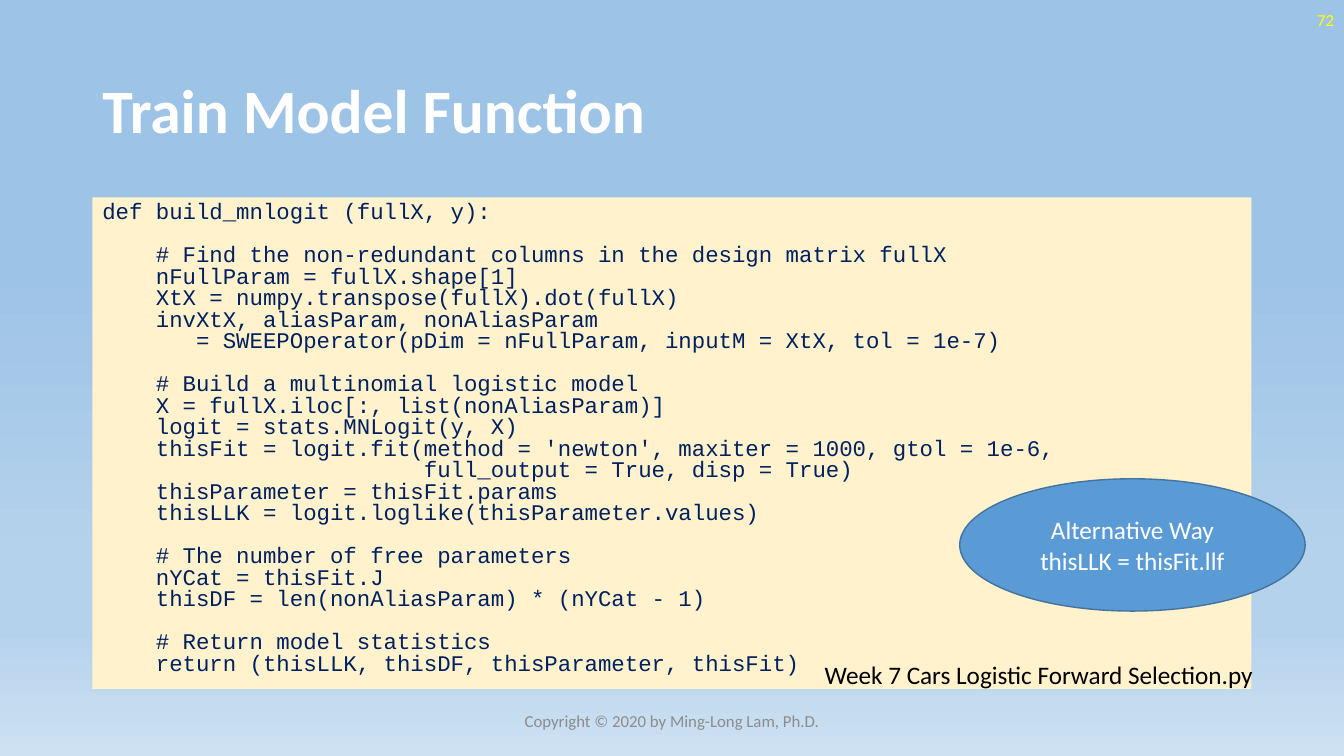
from lxml import etree
from pptx import Presentation
from pptx import util as u
from pptx.dml.color import RGBColor
from pptx.enum import shapes, text
from pptx.oxml.ns import qn

PX = 9525
CODE_SIZE, CODE_SPACING, CODE_GAP = 16, 0.8, 15.4
SKY = [(35, "9DC3E6"), (74, "B5D2EC"), (83, "B5D2EC"), (100, "CEE1F2")]
CODE = """def build_mnlogit (fullX, y):

    # Find the non-redundant columns in the design matrix fullX
    nFullParam = fullX.shape[1]
    XtX = numpy.transpose(fullX).dot(fullX)
    invXtX, aliasParam, nonAliasParam
       = SWEEPOperator(pDim = nFullParam, inputM = XtX, tol = 1e-7)

    # Build a multinomial logistic model
    X = fullX.iloc[:, list(nonAliasParam)]
    logit = stats.MNLogit(y, X)
    thisFit = logit.fit(method = 'newton', maxiter = 1000, gtol = 1e-6,
                        full_output = True, disp = True)
    thisParameter = thisFit.params
    thisLLK = logit.loglike(thisParameter.values)

    # The number of free parameters
    nYCat = thisFit.J
    thisDF = len(nonAliasParam) * (nYCat - 1)

    # Return model statistics
    return (thisLLK, thisDF, thisParameter, thisFit)"""


def rgb(color):
    """Turn a hex string into a colour."""
    return RGBColor.from_string(color)


def emu(box):
    """Scale a box of px lengths to EMU."""
    return [u.Emu(n * PX) for n in box]


def write(tf, lines, size, color, align=text.PP_ALIGN.LEFT, font="Calibri",
          bold=False, anchor=text.MSO_ANCHOR.MIDDLE, wrap=True):
    """Fill a text frame with one paragraph a line and return the paragraphs."""
    tf.word_wrap = wrap
    tf.auto_size = text.MSO_AUTO_SIZE.NONE
    tf.vertical_anchor = anchor
    tf.text = "\n".join(lines)
    for p in tf.paragraphs:
        p.alignment = align
        p.font.name, p.font.size, p.font.bold = font, u.Pt(size), bold
        p.font.color.rgb = rgb(color)
    return tf.paragraphs


def paint_background(s):
    """Fill the slide with the vertical sky gradient."""
    fill = s.background.fill
    fill.gradient()
    fill.gradient_angle = 270
    stops = s._element.find(".//" + qn("a:gsLst"))
    for old in list(stops):
        stops.remove(old)
    for pos, color in SKY:
        gs = etree.SubElement(stops, qn("a:gs"), pos=str(pos * 1000))
        etree.SubElement(gs, qn("a:srgbClr"), val=color)


def add_title(s, box, title):
    """Place and format the title placeholder."""
    sp = s.shapes.title
    sp.left, sp.top, sp.width, sp.height = emu(box)
    p = write(sp.text_frame, [title], 44, "FFFFFF", bold=True)[0]
    p.line_spacing = 0.9


def add_label(s, box, label, size, color, **style):
    """Add a one-line text box."""
    sp = s.shapes.add_textbox(*emu(box))
    write(sp.text_frame, [label], size, color, **style)


def add_code(s, box, code):
    """Add the code panel, with a gap above each block after the first."""
    sp = s.shapes.add_textbox(*emu(box))
    sp.fill.solid()
    sp.fill.fore_color.rgb = rgb("FFF2CC")
    blocks = [block.split("\n") for block in code.split("\n\n")]
    lines = [line for block in blocks for line in block]
    paragraphs = write(sp.text_frame, lines, CODE_SIZE, "002060",
                       font="Courier New", anchor=text.MSO_ANCHOR.TOP)
    for p in paragraphs:
        p.line_spacing = CODE_SPACING
        p.space_before = u.Pt(0)
    start = 0
    for block in blocks[:-1]:
        start += len(block)
        paragraphs[start].space_before = u.Pt(CODE_GAP)


def add_callout(s, box, lines):
    """Add the blue ellipse with its centred note."""
    sp = s.shapes.add_shape(shapes.MSO_SHAPE.OVAL, *emu(box))
    sp.shadow.inherit = False
    sp.fill.solid()
    sp.fill.fore_color.rgb = rgb("5B9BD5")
    sp.line.color.rgb = rgb("43739E")
    sp.line.width = u.Pt(1)
    write(sp.text_frame, lines, 18, "FFFFFF", text.PP_ALIGN.CENTER)


def build_code_slide(prs):
    """Build the slide that shows the training function."""
    s = prs.slides.add_slide(prs.slide_layouts[5])
    paint_background(s)
    add_code(s, (88, 188, 1104, 468), CODE)
    add_title(s, (88, 39, 1104, 139), "Train Model Function")
    add_label(s, (992, 0, 288, 38), "72", 12, "FFFF00",
              align=text.PP_ALIGN.RIGHT)
    add_label(s, (776, 623, 432, 38),
              "Week 7 Cars Logistic Forward Selection.py", 18, "000000",
              anchor=text.MSO_ANCHOR.TOP, wrap=False)
    add_label(s, (424, 667, 432, 38),
              "Copyright © 2020 by Ming-Long Lam, Ph.D.", 12, "8C8C8C",
              align=text.PP_ALIGN.CENTER)
    add_callout(s, (914, 456, 329, 126),
                ["Alternative Way", "thisLLK = thisFit.llf"])


def main():
    """Create and save the presentation."""
    prs = Presentation()
    prs.slide_width, prs.slide_height = emu((1280, 720))
    build_code_slide(prs)
    prs.save("out.pptx")


if __name__ == "__main__":
    main()
